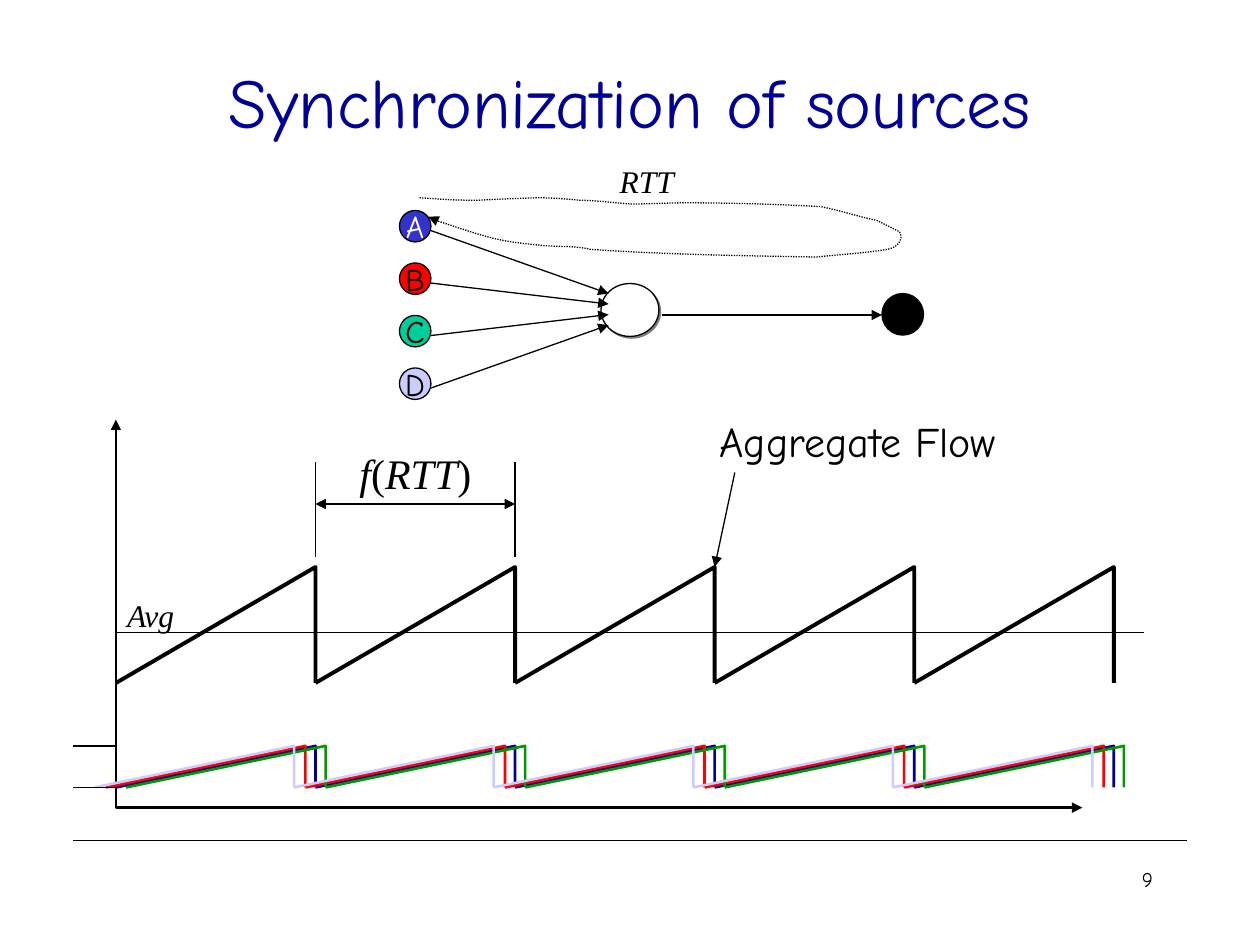
from dataclasses import dataclass

from lxml import etree
from pptx import Presentation
from pptx.dml.color import RGBColor
from pptx.enum.dml import MSO_LINE
from pptx.enum.shapes import MSO_CONNECTOR, MSO_SHAPE
from pptx.enum.text import MSO_ANCHOR, MSO_AUTO_SIZE, PP_ALIGN
from pptx.oxml.ns import qn
from pptx.util import Inches, Pt

STRAIGHT = MSO_CONNECTOR.STRAIGHT
OVAL = MSO_SHAPE.OVAL
DOTTED = MSO_LINE.ROUND_DOT
MIDDLE = MSO_ANCHOR.MIDDLE
FIT_SHAPE = MSO_AUTO_SIZE.SHAPE_TO_FIT_TEXT
LEFT, CENTER, RIGHT = PP_ALIGN.LEFT, PP_ALIGN.CENTER, PP_ALIGN.RIGHT


@dataclass(frozen=True)
class Theme:
    """Colours, fonts and sizes of the slide."""
    navy: str = "000099"
    blue: str = "3333CC"
    red: str = "FF0000"
    teal: str = "00CC99"
    green: str = "009900"
    lilac: str = "CCCCFF"
    black: str = "000000"
    white: str = "FFFFFF"
    grey: str = "808080"
    hand: str = "Comic Neue"
    serif: str = "Times New Roman"
    title: int = 40
    heading: int = 24
    label: int = 18
    number: int = 12
    thin: float = 0.75
    medium: float = 1.5
    thick: float = 2.25


THEME = Theme()
SOURCES = (("A", THEME.blue, THEME.white), ("B", THEME.red, THEME.black),
           ("C", THEME.teal, THEME.black), ("D", THEME.lilac, THEME.black))
FLOWS = ((THEME.navy, 0), (THEME.red, -0.08), (THEME.green, 0.08), (THEME.lilac, -0.17))
CYCLE = 7.92 / 5
CYCLES = 5
LOOP_START = (0.16, 0.33)
LOOP_CURVES = (
    (0.34, 0.34, 0.39, 0.35, 0.62, 0.35), (0.78, 0.34, 1.1, 0.33, 1.1, 0.33),
    (1.21, 0.33, 1.33, 0.34, 1.44, 0.35), (1.5, 0.35, 1.62, 0.36, 1.62, 0.36),
    (1.95, 0.39, 1.75, 0.38, 2.24, 0.37), (2.62, 0.37, 2.97, 0.38, 3.34, 0.4),
    (3.5, 0.43, 3.64, 0.48, 3.79, 0.51), (3.85, 0.54, 3.91, 0.57, 3.97, 0.6),
    (4.01, 0.67, 3.94, 0.73, 3.87, 0.74), (3.69, 0.77, 3.5, 0.78, 3.31, 0.8),
    (2.68, 0.79, 2.12, 0.78, 1.52, 0.74), (1.4, 0.71, 1.27, 0.72, 1.15, 0.71),
    (1.05, 0.7, 0.94, 0.69, 0.83, 0.67), (0.63, 0.63, 0.45, 0.56, 0.26, 0.5),
    (0.25, 0.5, 0.23, 0.48, 0.23, 0.48))


def style_line(shape, color, weight, ends=(), dash=None):
    """Set colour, weight, dash and arrowheads of a line."""
    line = shape.line
    line.color.rgb = RGBColor.from_string(color)
    line.width = Pt(weight)
    if dash is not None:
        line.dash_style = dash
    for end in ends:
        etree.SubElement(line._get_or_add_ln(), qn(f"a:{end}"), type="triangle")


def add_line(page, start, end, ends=()):
    """Draw a thin straight connector between two points in inches."""
    line = page.shapes.add_connector(STRAIGHT, *map(Inches, (*start, *end)))
    etree.SubElement(line._element.spPr, qn("a:effectLst"))
    style_line(line, THEME.black, THEME.thin, ends)


def add_outline(shapes, points, color, weight, ends=(), dash=None):
    """Draw an open polyline through points in inches."""
    corners = [(Inches(x), Inches(y)) for x, y in points]
    builder = shapes.build_freeform(*corners[0])
    builder.add_line_segments(corners[1:], close=False)
    outline = builder.convert_to_shape()
    outline.shadow.inherit = False
    outline.fill.background()
    style_line(outline, color, weight, ends, dash)


def fill_text(frame, spans, align=LEFT, **formats):
    """Write (text, italic) spans into one paragraph."""
    color = RGBColor.from_string(formats.pop("color", THEME.black))
    para = frame.paragraphs[0]
    para.alignment = align
    for text, italic in spans:
        span = para.add_run()
        span.text = text
        for name, value in {**formats, "italic": italic}.items():
            setattr(span.font, name, value)
        span.font.color.rgb = color


def add_label(page, box, spans, size, font, align=LEFT, wrap=False, color=THEME.black):
    """Place a text box, fitted to its text unless it wraps."""
    frame = page.shapes.add_textbox(*map(Inches, box)).text_frame
    frame.word_wrap = wrap
    if not wrap:
        frame.auto_size = FIT_SHAPE
    fill_text(frame, spans, align, size=Pt(size), name=font, color=color)
    return frame


def add_node(page, box, fill):
    """Draw a thinly outlined circle."""
    node = page.shapes.add_shape(OVAL, *map(Inches, box))
    node.shadow.inherit = False
    node.fill.solid()
    node.fill.fore_color.rgb = RGBColor.from_string(fill)
    style_line(node, THEME.black, THEME.thin)
    return node


def add_drop_shadow(shape):
    """Give a shape a short hard shadow towards the lower right."""
    effects = shape._element.spPr.find(qn("a:effectLst"))
    shadow = etree.SubElement(effects, qn("a:outerShdw"), blurRad="0",
                              dist=str(Pt(1.4)), dir="2700000", algn="ctr", rotWithShape="0")
    etree.SubElement(shadow, qn("a:srgbClr"), val=THEME.grey)


def curve_points(start, curves, steps=8):
    """Return points along a chain of cubic curves."""
    points = [start]
    for x1, y1, x2, y2, x3, y3 in curves:
        knots = (points[-1], (x1, y1), (x2, y2), (x3, y3))
        for step in range(1, steps + 1):
            t = step / steps
            weights = ((1 - t) ** 3, 3 * t * (1 - t) ** 2, 3 * t * t * (1 - t), t ** 3)
            points.append(tuple(sum(w * knot[axis] for w, knot in zip(weights, knots))
                                for axis in (0, 1)))
    return points


def add_title(page, box):
    """Place the slide title."""
    frame = add_label(page, box, [("Synchronization of sources", None)], THEME.title,
                      THEME.hand, CENTER, True, THEME.navy)
    frame.vertical_anchor = MIDDLE


def add_footer(page, box):
    """Place the footer rule and the page number."""
    left, top, width, _ = box
    add_line(page, (left, top), (left + width, top))
    add_label(page, (left + width - 2.25, top + 0.16, 2.08, 0.5), [("9", None)],
              THEME.number, THEME.hand, RIGHT, True)


def add_network(page, box):
    """Draw four sources, the router, the sink and the round trip."""
    left, top, width, _ = box
    router = add_node(page, (left + 1.6, top + 1.01, 0.46, 0.42), THEME.white)
    add_drop_shadow(router)
    for index, (name, fill, color) in enumerate(SOURCES):
        y = top + 0.43 + index * 1.25 / 3
        frame = add_node(page, (left, y, 0.25, 0.25), fill).text_frame
        frame.word_wrap = False
        frame.vertical_anchor = MIDDLE
        fill_text(frame, [(name, None)], CENTER, size=Pt(THEME.label),
                  name=THEME.hand, color=color)
        add_line(page, (left + 0.25, y + 0.16),
                 (left + 1.66, top + 1.09 + index * 0.25 / 3), ("tailEnd",))
    add_line(page, (left + 2.08, top + 1.26), (left + width - 0.33, top + 1.26), ("tailEnd",))
    add_node(page, (left + width - 0.33, top + 1.09, 0.33, 0.33), THEME.black)
    loop = [(left + x, top + y) for x, y in curve_points(LOOP_START, LOOP_CURVES)]
    add_outline(page.shapes, loop, THEME.black, THEME.thin, ("tailEnd",), DOTTED)
    add_label(page, (left + 1.65, top, 0.63, 0.4), [("RTT", True)], THEME.label, THEME.serif)


def add_sawtooth(group, left, peak, base, color, weight):
    """Draw one row of equal teeth."""
    for index in range(CYCLES):
        start = left + index * CYCLE
        end = start + CYCLE
        add_outline(group.shapes, [(start, base), (end, peak), (end, base)], color, weight)


def add_flow_plot(page, box):
    """Draw the axes, the source flows, the aggregate flow and its notes."""
    left, top, width, height = box
    bottom = top + height
    first, second, third = (left + count * CYCLE for count in (1, 2, 3))
    add_outline(page.shapes, [(left, top), (left, bottom), (left + width, bottom)],
                THEME.black, THEME.medium, ("headEnd", "tailEnd"))
    for x in (first, second):
        add_line(page, (x, top + 0.34), (x, top + 1.09))
    add_line(page, (first, top + 0.67), (second, top + 0.67), ("headEnd", "tailEnd"))
    add_label(page, (first + 0.25, top + 0.17, 1.09, 0.5),
              [("f", True), ("(", False), ("RTT", True), (")", False)],
              THEME.heading, THEME.serif)
    add_line(page, (third + 0.16, top + 0.42), (third, top + 1.17), ("tailEnd",))
    add_label(page, (third - 0.06, top - 0.08, 2.41, 0.5), [("Aggregate Flow", None)],
              THEME.heading, THEME.hand)
    flows = page.shapes.add_group_shape()
    for color, offset in FLOWS:
        add_sawtooth(flows, left + offset, top + 2.59, top + 2.92, color, THEME.medium)
    aggregate = page.shapes.add_group_shape()
    add_sawtooth(aggregate, left, top + 1.17, top + 2.09, THEME.black, THEME.thick)
    for y in (top + 2.59, top + 2.92):
        add_line(page, (left - 0.34, y), (left, y))
    add_line(page, (left, top + 1.69), (left + 8.16, top + 1.69))
    add_label(page, (left - 0.01, top + 1.35, 0.59, 0.4), [("Avg", True)],
              THEME.label, THEME.serif)


def main():
    """Build and save the slide."""
    deck = Presentation()
    deck.slide_width, deck.slide_height = Inches(10), Inches(7.5)
    page = deck.slides.add_slide(deck.slide_layouts[6])
    add_footer(page, (0.58, 6.67, 8.84, 0.66))
    add_title(page, (0.75, 0.17, 8.5, 1.25))
    add_network(page, (3.17, 1.24, 4.16, 1.93))
    add_flow_plot(page, (0.92, 3.33, 7.67, 3.08))
    deck.save("out.pptx")


if __name__ == "__main__":
    main()
